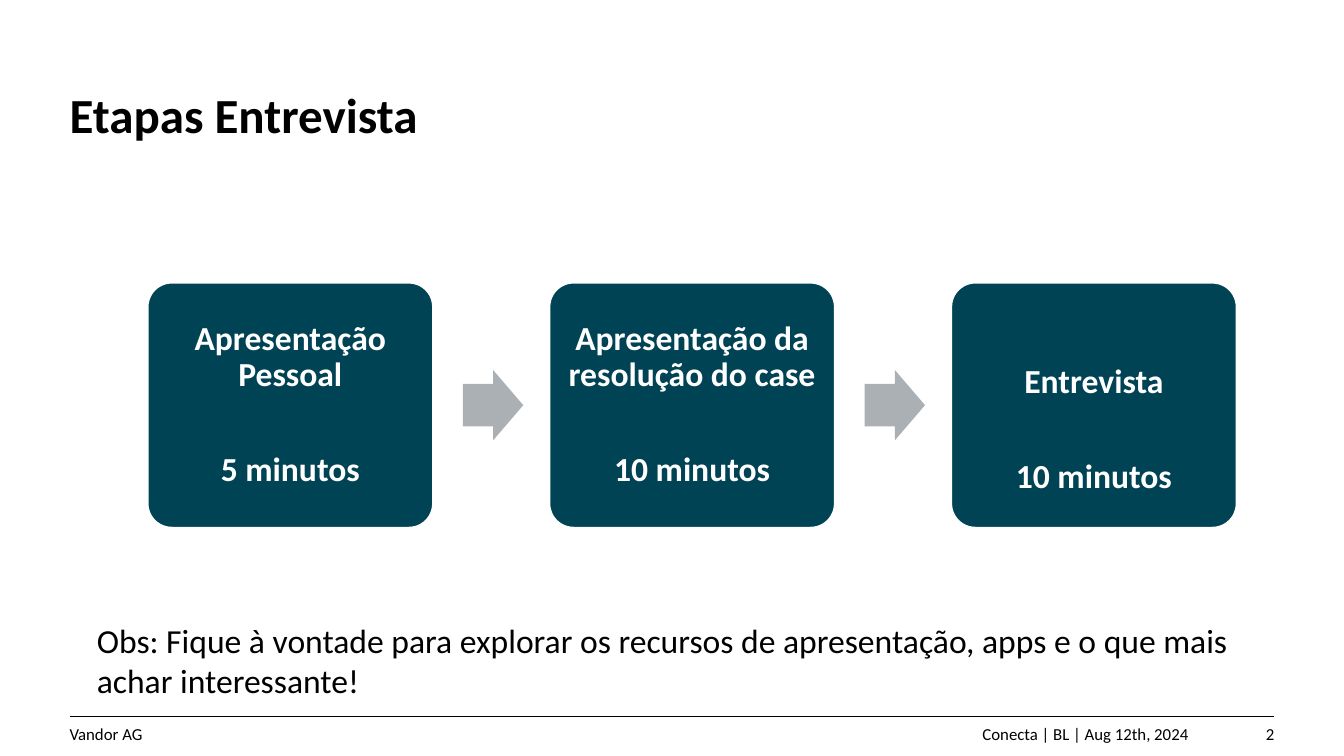
"""Builds the interview stages slide with three steps and a note."""
from dataclasses import dataclass

from lxml.etree import SubElement
from pptx import Presentation
from pptx.dml.color import RGBColor
from pptx.enum.shapes import MSO_CONNECTOR, MSO_SHAPE
from pptx.enum.text import MSO_ANCHOR, MSO_AUTO_SIZE, PP_ALIGN
from pptx.oxml.ns import qn
from pptx.util import Inches, Pt


@dataclass(frozen=True)
class Theme:
    font: str = "Calibri"
    ink: RGBColor = RGBColor(0x00, 0x00, 0x00)
    white: RGBColor = RGBColor(0xFF, 0xFF, 0xFF)
    teal: RGBColor = RGBColor(0x00, 0x43, 0x55)
    gray: RGBColor = RGBColor(0xAB, 0xB0, 0xB4)
    head: Pt = Pt(35)
    body: Pt = Pt(24)
    small: Pt = Pt(12)


theme = Theme()


def write(shape, lines, size, color, align=PP_ALIGN.LEFT, bold=False, pad=0):
    """Fill a shape with styled paragraphs."""
    frame = shape.text_frame
    frame.text = "\n".join(lines)
    frame.word_wrap = True
    frame.auto_size = MSO_AUTO_SIZE.NONE
    frame.vertical_anchor = MSO_ANCHOR.TOP
    frame.margin_left = frame.margin_right = Inches(pad)
    frame.margin_top = frame.margin_bottom = Inches(pad)
    for para in frame.paragraphs:
        para.alignment = align
        for run in para.runs:
            run.font.name = theme.font
            run.font.size = size
            run.font.bold = bold
            run.font.color.rgb = color
    return frame


def place(shape, left, top, width, height):
    """Set the position and size of a shape in inches."""
    shape.left, shape.top = Inches(left), Inches(top)
    shape.width, shape.height = Inches(width), Inches(height)


deck = Presentation()
deck.slide_width, deck.slide_height = Inches(13.33), Inches(7.5)
slide = deck.slides.add_slide(deck.slide_layouts[5])
shapes = slide.shapes

title = shapes.title
place(title, 0.69, 0.87, 11.96, 0.7)
frame = write(title, ["Etapas Entrevista"], theme.head, theme.ink, bold=True)
frame.paragraphs[0].line_spacing = Pt(40)

steps = [
    ("Apresentação Pessoal", "5 minutos", 0),
    ("Apresentação da resolução do case", "10 minutos", 0),
    ("Entrevista", "10 minutos", 0.5),
]
first, pitch, width = 1.46, 3.985, 2.84
for i, (name, time, drop) in enumerate(steps):
    left = first + i * pitch
    card = shapes.add_shape(
        MSO_SHAPE.ROUNDED_RECTANGLE,
        Inches(left), Inches(2.8), Inches(width), Inches(2.44),
    )
    card.adjustments[0] = 0.1
    card.shadow.inherit = False
    card.fill.solid()
    card.fill.fore_color.rgb = theme.teal
    card.line.color.rgb = theme.white
    card.line.width = Pt(2)
    frame = write(card, [name, time], theme.body, theme.white,
                  PP_ALIGN.CENTER, True, 0.1)
    frame.vertical_anchor = MSO_ANCHOR.MIDDLE
    frame.margin_top = Inches(0.1 + drop)
    for para in frame.paragraphs:
        para.line_spacing = 0.9
    frame.paragraphs[1].space_before = Pt(42)

    if i < len(steps) - 1:
        arrow = shapes.add_shape(
            MSO_SHAPE.RIGHT_ARROW,
            Inches(left + width + 0.29), Inches(3.67), Inches(0.6), Inches(0.7),
        )
        arrow.adjustments[0] = 0.6
        arrow.adjustments[1] = 0.5
        arrow.shadow.inherit = False
        arrow.fill.solid()
        arrow.fill.fore_color.rgb = theme.gray
        arrow.line.fill.background()

rule = shapes.add_connector(
    MSO_CONNECTOR.STRAIGHT, Inches(0.69), Inches(7.1), Inches(12.64), Inches(7.1)
)
rule.line.color.rgb = theme.ink
rule.line.width = Pt(0.25)
SubElement(rule._element.spPr, qn("a:effectLst"))

note = ("Obs: Fique à vontade para explorar os recursos de apresentação, "
        "apps e o que mais achar interessante!")
texts = [
    (note, (0.96, 6.15, 11.69, 0.81), theme.body, PP_ALIGN.LEFT),
    ("Vandor AG", (0.69, 7.18, 2.28, 0.24), theme.small, PP_ALIGN.LEFT),
    ("Conecta | BL | Aug 12th, 2024", (3.52, 7.18, 8.27, 0.24),
     theme.small, PP_ALIGN.RIGHT),
    ("2", (12.07, 7.18, 0.57, 0.24), theme.small, PP_ALIGN.RIGHT),
]
for text, area, size, align in texts:
    box = shapes.add_textbox(*map(Inches, area))
    write(box, [text], size, theme.ink, align)

deck.save("out.pptx")
